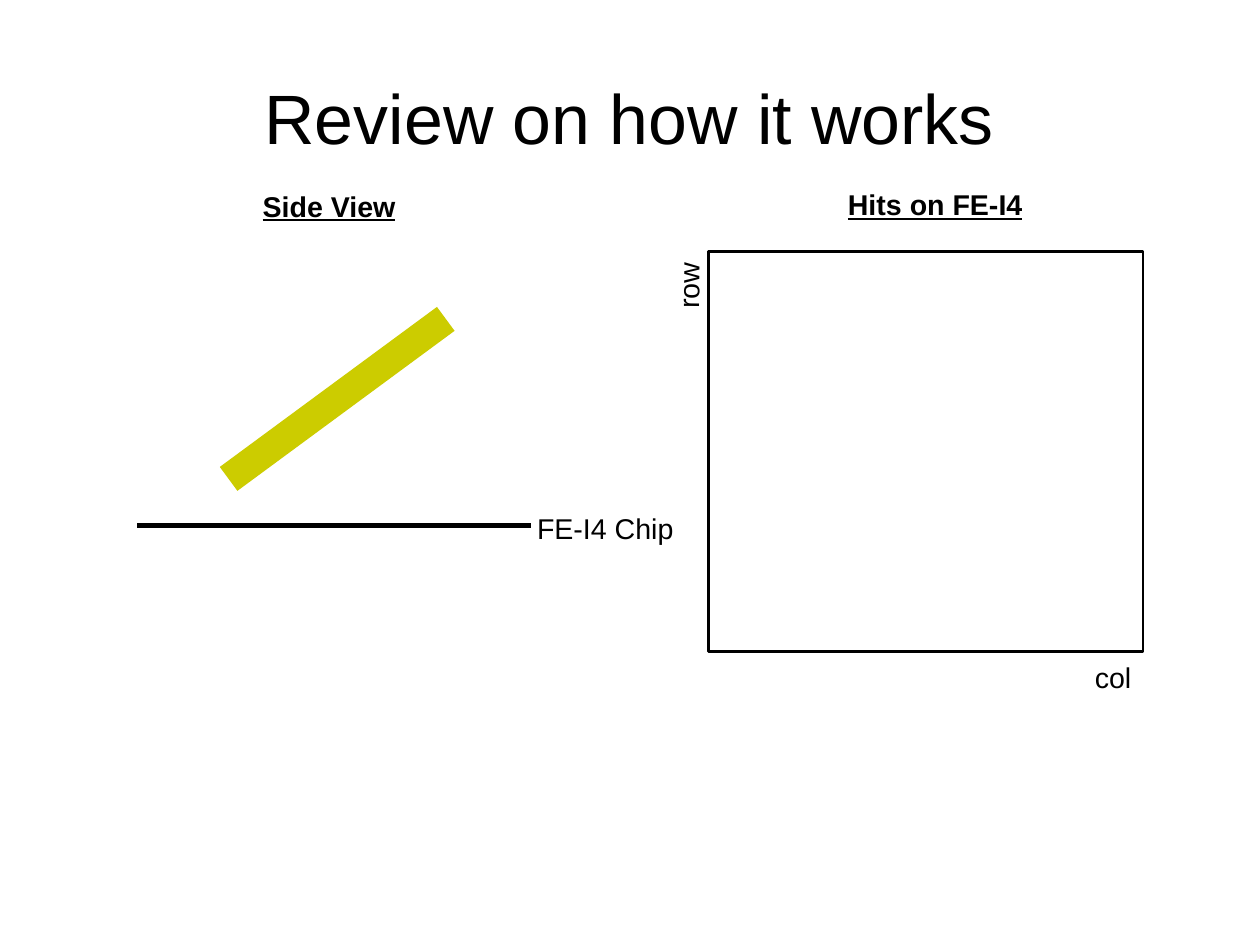
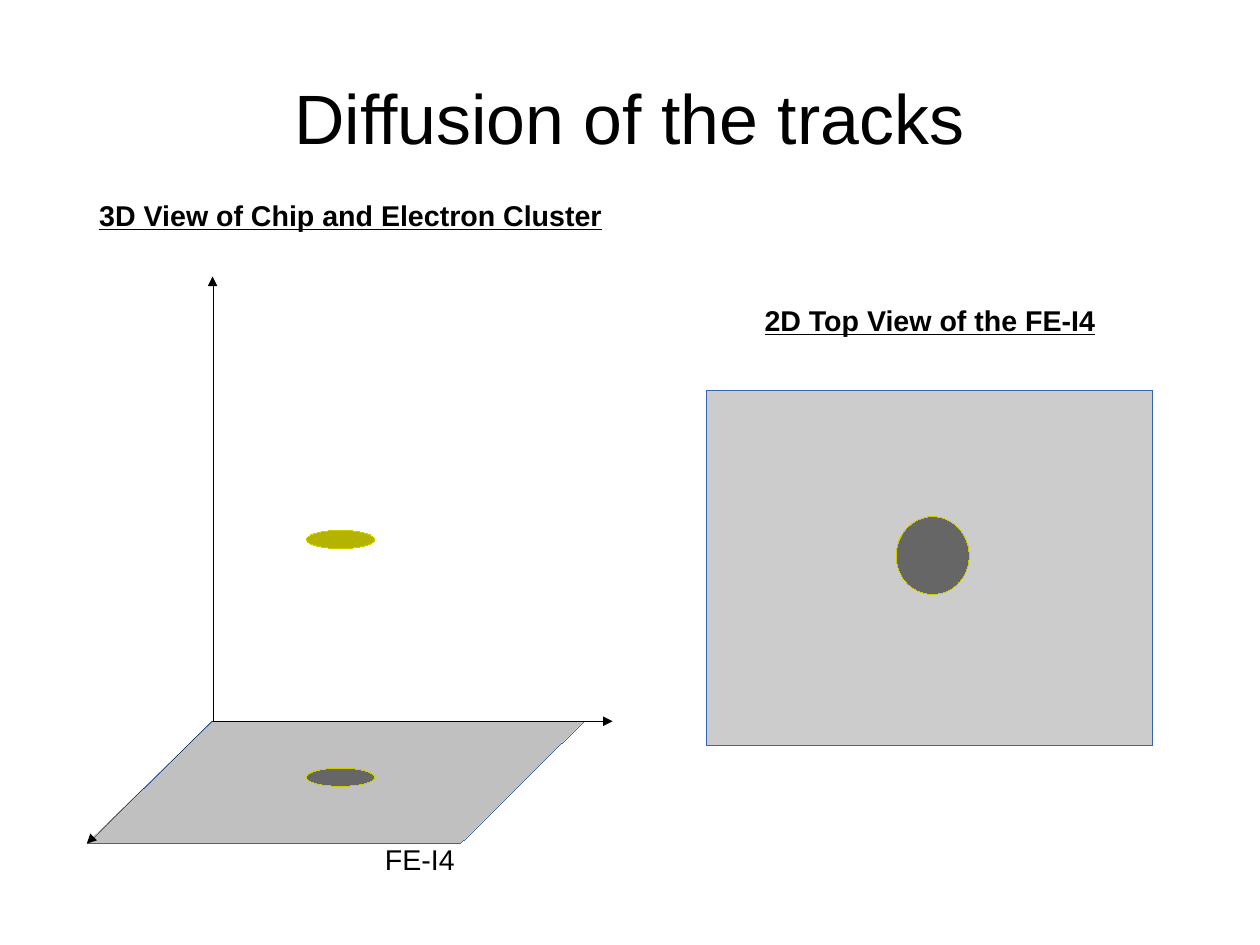
from lxml.etree import SubElement
from pptx import Presentation
from pptx.dml.color import RGBColor
from pptx.enum.shapes import MSO_CONNECTOR, MSO_SHAPE
from pptx.enum.text import MSO_ANCHOR, MSO_AUTO_SIZE, PP_ALIGN
from pptx.oxml.ns import qn
from pptx.util import Inches, Pt

COLORS = {
    "text": "000000",
    "track": "CCCC00",
    "cluster": "B3B300",
    "hit": "666666",
    "chip": "C0C0C0",
    "chip_top": "CCCCCC",
    "chip_edge": "3465AF",
}
CM_PER_INCH = 2.54


def color(name):
    return RGBColor.from_string(COLORS[name])


class Deck:
    """Shared style and the slide being filled."""

    FONT = "Arial"
    TITLE_SIZE = 44
    LABEL_SIZE = 18

    def __init__(self):
        self.presentation = Presentation()
        self.presentation.slide_width = Inches(28 / CM_PER_INCH)
        self.presentation.slide_height = Inches(21 / CM_PER_INCH)
        self.slide = None

    def set_font(self, paragraph, size, heading=False):
        for run in paragraph.runs:
            run.font.name = self.FONT
            run.font.size = Pt(size)
            run.font.color.rgb = color("text")
            if heading:
                run.font.bold = run.font.underline = True

    def set_line(self, shape, name, weight):
        """Colour and weigh the outline; 0 must be written out as a hairline."""
        shape.line.color.rgb = color(name)
        outline = shape._element.spPr.find(qn("a:ln"))
        outline.set("w", str(int(Pt(weight))))
        return outline

    def add_slide(self, title):
        layout = self.presentation.slide_layouts.get_by_name("Title Only")
        self.slide = self.presentation.slides.add_slide(layout)
        shape = self.slide.shapes.title
        shape.left, shape.top = Inches(0.55), Inches(0.33)
        shape.width, shape.height = Inches(9.92), Inches(1.38)
        frame = shape.text_frame
        frame.text = title
        frame.auto_size = MSO_AUTO_SIZE.NONE
        frame.vertical_anchor = MSO_ANCHOR.MIDDLE
        frame.margin_left = frame.margin_right = 0
        frame.margin_top = frame.margin_bottom = 0
        frame.paragraphs[0].alignment = PP_ALIGN.CENTER
        self.set_font(frame.paragraphs[0], self.TITLE_SIZE)

    def label(self, text, left, top, width, heading=False, rotation=0):
        box = self.slide.shapes.add_textbox(
            Inches(left), Inches(top), Inches(width), Inches(0.38))
        box.rotation = rotation
        frame = box.text_frame
        frame.text = text
        frame.word_wrap = False
        frame.auto_size = MSO_AUTO_SIZE.SHAPE_TO_FIT_TEXT
        self.set_font(frame.paragraphs[0], self.LABEL_SIZE, heading)

    def shape(self, kind, left, top, width, height, line, fill=None, weight=0):
        shape = self.slide.shapes.add_shape(
            kind, Inches(left), Inches(top), Inches(width), Inches(height))
        shape.shadow.inherit = False
        if fill:
            shape.fill.solid()
            shape.fill.fore_color.rgb = color(fill)
        else:
            shape.fill.background()
        self.set_line(shape, line, weight)
        return shape

    def line(self, start, end, line="text", weight=0, arrow=False):
        points = [Inches(value) for value in (*start, *end)]
        connector = self.slide.shapes.add_connector(
            MSO_CONNECTOR.STRAIGHT, *points)
        outline = self.set_line(connector, line, weight)
        if arrow:
            SubElement(outline, qn("a:tailEnd"), type="triangle")
        SubElement(connector._element.spPr, qn("a:effectLst"))
        return connector

    def group(self, shapes):
        self.slide.shapes.add_group_shape(shapes)


def add_review_slide(deck):
    deck.add_slide("Review on how it works")
    deck.line((2, 4.19), (3.9, 2.79), "track", 18.71)
    deck.line((1.2, 4.6), (4.65, 4.6), weight=2.89)
    deck.shape(MSO_SHAPE.RECTANGLE, 6.2, 2.2, 3.8, 3.5, "text", weight=1.45)
    deck.label("FE-I4 Chip", 4.6, 4.42, 1.42)
    deck.label("Side View", 2.2, 1.6, 1.36, heading=True)
    deck.label("Hits on FE-I4", 7.32, 1.59, 1.73, heading=True)
    deck.label("col", 9.48, 5.72, 0.52)
    deck.label("row", 5.71, 2.31, 0.6, rotation=270.5)


def add_diffusion_slide(deck):
    deck.add_slide("Diffusion of the tracks")
    cluster_left, cluster_size = 2.68, (0.6, 0.16)
    deck.shape(MSO_SHAPE.OVAL, cluster_left, 4.64, *cluster_size,
               "track", "cluster")

    chip = deck.shape(MSO_SHAPE.PARALLELOGRAM, 0.77, 6.31, 4.34, 1.07,
                      "chip_edge", "chip")
    chip.adjustments[0] = 1.01
    origin = (1.86, 6.31)
    axis_ends = [(1.86, 2.42), (5.36, 6.31), (0.76, 7.38)]
    axes = [deck.line(origin, end, arrow=True) for end in axis_ends]
    deck.group([chip, *axes])

    deck.label("3D View of Chip and Electron Cluster", 0.77, 1.68, 4.6,
               heading=True)
    deck.label("FE-I4", 3.27, 7.32, 0.93)
    deck.label("2D Top View of the FE-I4", 6.59, 2.6, 3.18, heading=True)
    deck.shape(MSO_SHAPE.RECTANGLE, 6.18, 3.42, 3.9, 3.1,
               "chip_edge", "chip_top")
    deck.shape(MSO_SHAPE.OVAL, cluster_left, 6.72, *cluster_size,
               "track", "hit")
    deck.shape(MSO_SHAPE.OVAL, 7.84, 4.52, 0.64, 0.68, "track", "hit")


def main():
    deck = Deck()
    add_review_slide(deck)
    add_diffusion_slide(deck)
    deck.presentation.save("out.pptx")


if __name__ == "__main__":
    main()
